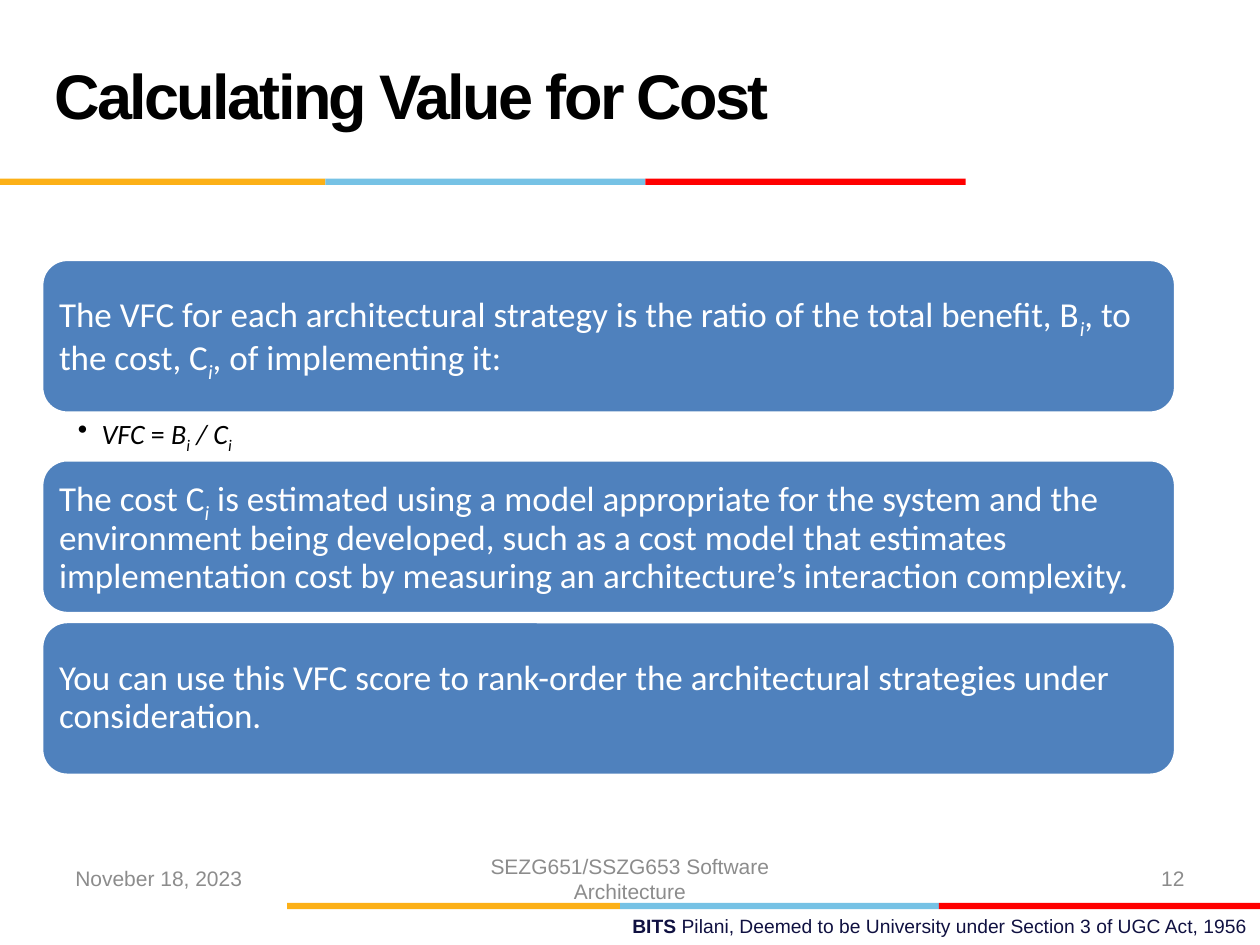
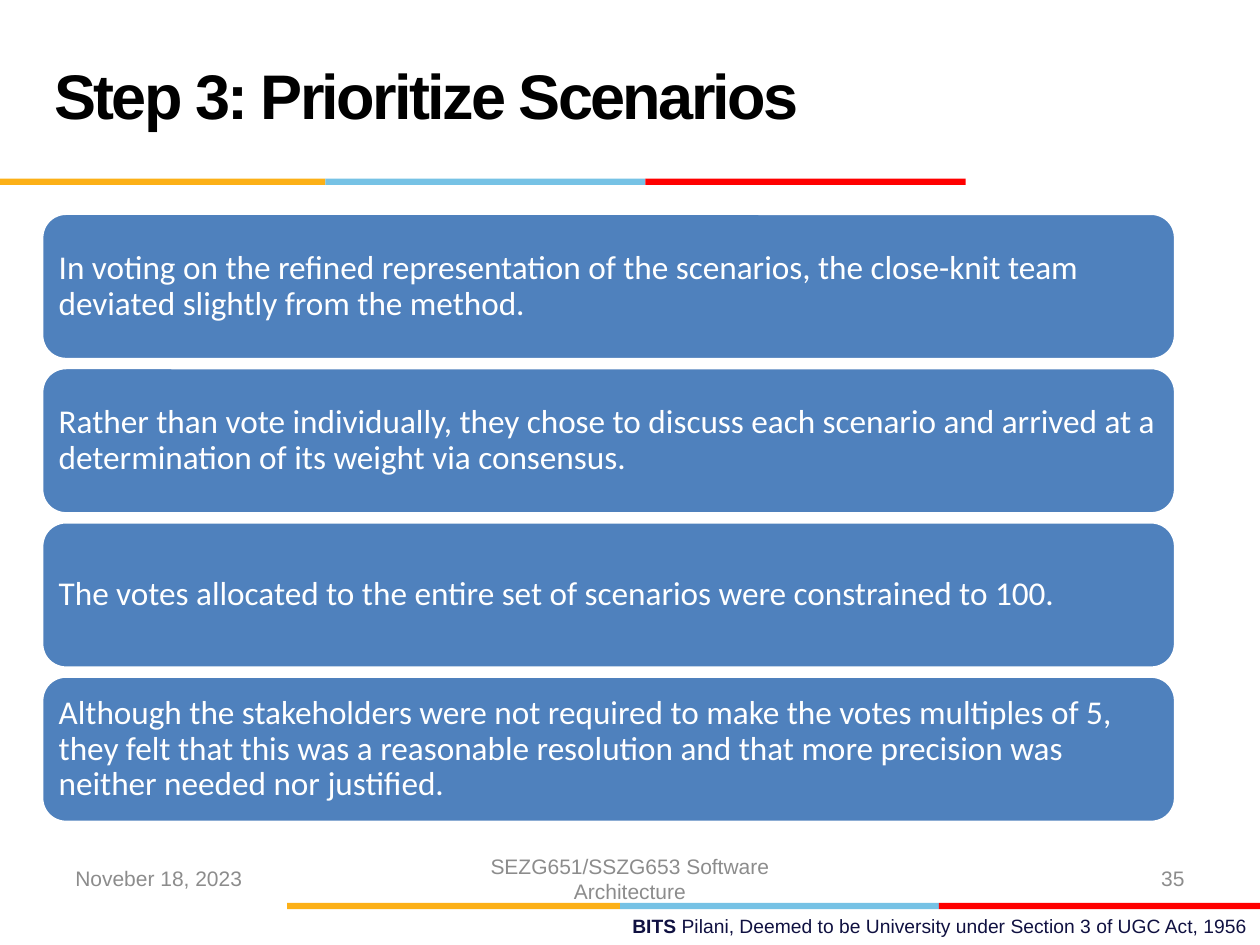
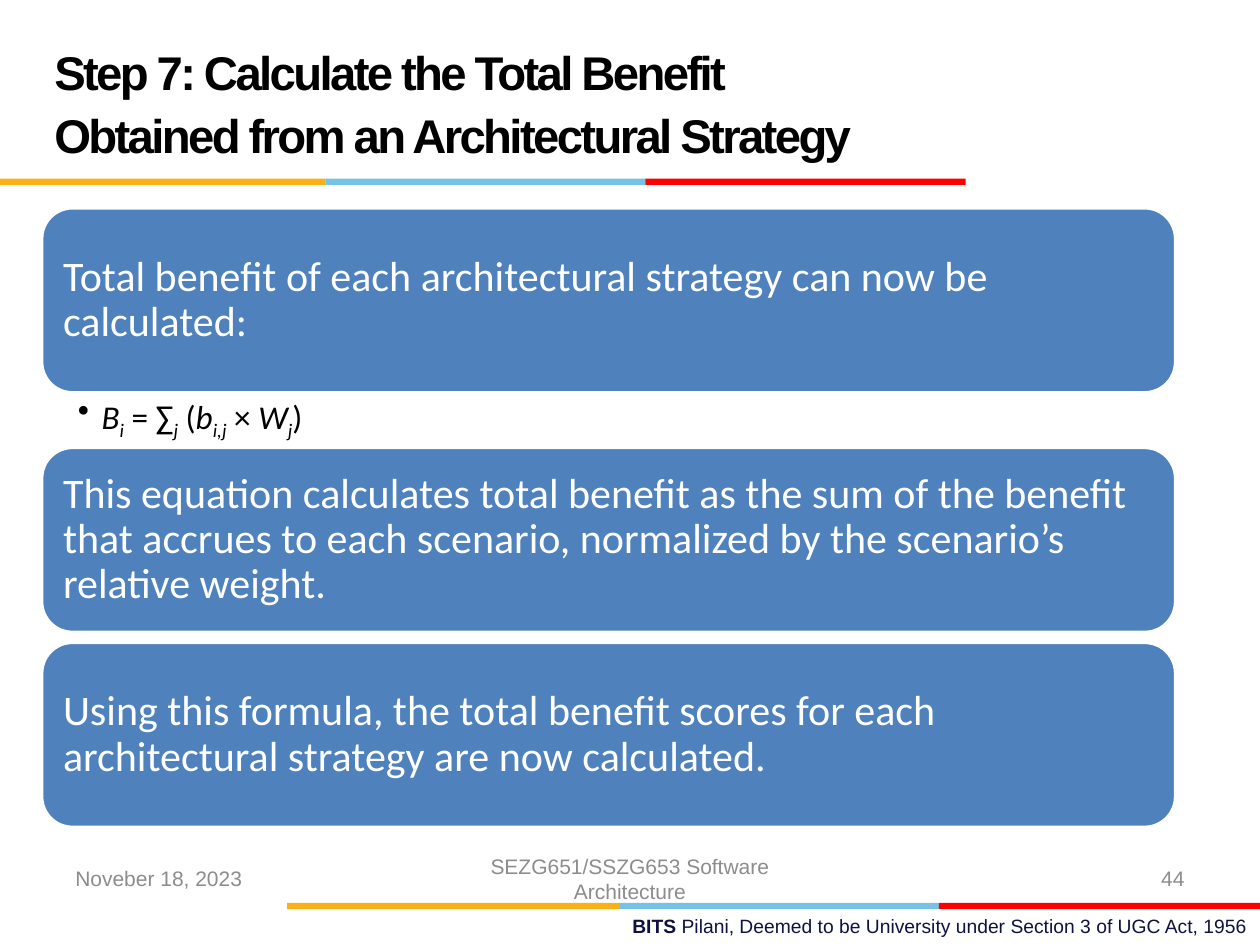
"""Build three lecture slides on weighing the cost and benefit of architectural strategies."""
import pptx
import pptx.dml.color
import pptx.enum.shapes
import pptx.enum.text
import pptx.util
from lxml import etree
from pptx.oxml.ns import qn

Cm = pptx.util.Cm
Pt = pptx.util.Pt
ALIGN = pptx.enum.text.PP_ALIGN
ANCHOR = pptx.enum.text.MSO_ANCHOR
SHAPE = pptx.enum.shapes.MSO_SHAPE

YELLOW, BLUE, RED = "FCB017", "76C2E5", "FF0000"
PANEL, WHITE, BLACK = "4F81BD", "FFFFFF", "000000"
GREY, NAVY = "8C8C8C", "101141"
PANEL_LEFT, PANEL_WIDTH = 0.84, 22.86
BAND_HEIGHT = 0.13
PLAIN, ITALIC, SUB = "plain", "italic", "sub"

SLIDES = [
    {
        "title": "Calculating Value for Cost",
        "title_size": 36,
        "number": "12",
        "top": 5.23, "height": 3.1, "gap": 0.16, "detail_height": 0.94,
        "size": 20, "inset": 0.2, "detail_size": 16,
        "items": [
            ("panel", [
                ("The VFC for each architectural strategy is the ratio of the total benefit, B", PLAIN),
                ("i", SUB), (", to the cost, C", PLAIN), ("i", SUB),
                (", of implementing it:", PLAIN)]),
            ("detail", [
                ("VFC", ITALIC), (" = ", PLAIN), ("B", ITALIC), ("i", SUB),
                (" / ", ITALIC), ("C", ITALIC), ("i", SUB)]),
            ("panel", [
                ("The cost C", PLAIN), ("i", SUB),
                (" is estimated using a model appropriate for the system and the environment "
                 "being developed, such as a cost model that estimates implementation cost by "
                 "measuring an architecture’s interaction complexity.", PLAIN)]),
            ("panel", [
                ("You can use this VFC score to rank-order the architectural strategies "
                 "under consideration.", PLAIN)]),
        ],
    },
    {
        "title": "Step 3: Prioritize Scenarios",
        "title_size": 36,
        "number": "35",
        "top": 4.3, "height": 2.95, "gap": 0.16, "detail_height": 0,
        "size": 19, "inset": 0.2, "detail_size": 16,
        "items": [
            ("panel", [
                ("In voting on the refined representation of the scenarios, the close-knit team "
                 "deviated slightly from the method.", PLAIN)]),
            ("panel", [
                ("Rather than vote individually, they chose to discuss each scenario and arrived "
                 "at a determination of its weight via consensus.", PLAIN)]),
            ("panel", [
                ("The votes allocated to the entire set of scenarios were constrained to 100.",
                 PLAIN)]),
            ("panel", [
                ("Although the stakeholders were not required to make the votes multiples of 5, "
                 "they felt that this was a reasonable resolution and that more precision was "
                 "neither needed nor justified.", PLAIN)]),
        ],
    },
    {
        "title": "Step 7: Calculate the Total Benefit Obtained from an Architectural Strategy",
        "title_size": 27,
        "number": "44",
        "top": 4.19, "height": 3.73, "gap": 0.2, "detail_height": 1.1,
        "size": 24, "inset": 0.25, "detail_size": 19,
        "items": [
            ("panel", [
                ("Total benefit of each architectural strategy can now be calculated:", PLAIN)]),
            ("detail", [
                ("B", ITALIC), ("i", SUB), (" = ∑", PLAIN), ("j", SUB), (" (", PLAIN),
                ("b", ITALIC), ("i,j", SUB), (" × ", PLAIN), ("W", ITALIC), ("j", SUB),
                (")", PLAIN)]),
            ("panel", [
                ("This equation calculates total benefit as the sum of the benefit that accrues "
                 "to each scenario, normalized by the scenario’s relative weight.", PLAIN)]),
            ("panel", [
                ("Using this formula, the total benefit scores for each architectural strategy "
                 "are now calculated.", PLAIN)]),
        ],
    },
]


def color(value):
    """Turn a hex string into a colour."""
    return pptx.dml.color.RGBColor.from_string(value)


def set_font(paragraph, name, size, value):
    """Set the font that all runs of a paragraph share."""
    paragraph.font.name = name
    paragraph.font.size = Pt(size)
    paragraph.font.color.rgb = color(value)


def add_runs(paragraph, runs):
    """Add plain, italic and subscript runs to a paragraph."""
    for text, style in runs:
        run = paragraph.add_run()
        run.text = text
        if style != PLAIN:
            run.font.italic = True
        if style == SUB:
            run.font._element.set("baseline", "-25000")


def set_insets(frame, left, top, right, bottom):
    """Set the margins of a text frame in centimetres."""
    frame.margin_left, frame.margin_top = Cm(left), Cm(top)
    frame.margin_right, frame.margin_bottom = Cm(right), Cm(bottom)


def add_block(slide, preset, left, top, width, height, fill):
    """Add a filled shape without line or shadow."""
    block = slide.shapes.add_shape(preset, Cm(left), Cm(top), Cm(width), Cm(height))
    block.shadow.inherit = False
    block.fill.solid()
    block.fill.fore_color.rgb = color(fill)
    block.line.fill.background()
    return block


def add_band(slide, top, edges):
    """Add the three-coloured band between four edges."""
    for left, right, fill in zip(edges, edges[1:], (YELLOW, BLUE, RED)):
        add_block(slide, SHAPE.RECTANGLE, left, top, right - left, BAND_HEIGHT, fill)


def add_label(slide, left, top, width, height, align, anchor):
    """Add a wrapping text box and return its first paragraph."""
    label = slide.shapes.add_textbox(Cm(left), Cm(top), Cm(width), Cm(height))
    label.text_frame.word_wrap = True
    label.text_frame.vertical_anchor = anchor
    paragraph = label.text_frame.paragraphs[0]
    paragraph.alignment = align
    return paragraph


def add_footer(slide, number):
    """Add the date, course, slide number and university line."""
    for text, left, width, align in (
        ("Noveber 18, 2023", 1.27, 5.93, ALIGN.LEFT),
        ("SEZG651/SSZG653 Software Architecture", 8.68, 8.04, ALIGN.CENTER),
        (number, 18.2, 5.93, ALIGN.RIGHT),
    ):
        paragraph = add_label(slide, left, 17.2, width, 1.01, align, ANCHOR.MIDDLE)
        paragraph.text = text
        set_font(paragraph, "Arial", 12, GREY)

    university = add_label(slide, 9.09, 18.31, 16.31, 0.74, ALIGN.RIGHT, ANCHOR.TOP)
    add_runs(university, [
        ("BITS ", PLAIN),
        ("Pilani, Deemed to be University under Section 3 of UGC Act, 1956", PLAIN)])
    university.runs[0].font.bold = True
    set_font(university, "Arial", 11, NAVY)


def set_title(slide, text, size):
    """Fill, place and format the title placeholder."""
    title = slide.shapes.title
    title.left, title.top, title.width, title.height = Cm(0.84), Cm(0.43), Cm(17.58), Cm(3.18)
    frame = title.text_frame
    frame.text = text
    frame.word_wrap = True
    frame.auto_size = pptx.enum.text.MSO_AUTO_SIZE.NONE
    frame.vertical_anchor = ANCHOR.MIDDLE
    paragraph = frame.paragraphs[0]
    paragraph.alignment = ALIGN.LEFT
    paragraph.line_spacing = Pt(36)
    set_font(paragraph, "Arial", size, BLACK)
    paragraph.font.bold = True
    paragraph.runs[0].font._element.set("spc", "-150")


def add_panel(slide, top, height, runs, size, inset):
    """Add a rounded panel with its statement."""
    panel = add_block(slide, SHAPE.ROUNDED_RECTANGLE, PANEL_LEFT, top, PANEL_WIDTH, height, PANEL)
    panel.line.color.rgb = color(WHITE)
    panel.line.width = Pt(2)
    frame = panel.text_frame
    frame.word_wrap = True
    frame.vertical_anchor = ANCHOR.MIDDLE
    set_insets(frame, inset, inset, inset, inset)
    statement = frame.paragraphs[0]
    statement.alignment = ALIGN.LEFT
    statement.line_spacing = 0.9
    add_runs(statement, runs)
    set_font(statement, "Calibri", size, WHITE)


def add_detail(slide, top, height, runs, size):
    """Add a bulleted formula between two panels."""
    formula = add_label(slide, PANEL_LEFT, top, PANEL_WIDTH, height, ALIGN.LEFT, ANCHOR.TOP)
    set_insets(formula._parent, 0.73, 0.08, 0.45, 0.08)
    properties = formula._p.get_or_add_pPr()
    properties.set("marL", str(Cm(0.48)))
    properties.set("indent", str(-Cm(0.48)))
    etree.SubElement(properties, qn("a:buChar")).set("char", "•")
    formula.line_spacing = 0.9
    add_runs(formula, runs)
    set_font(formula, "Calibri", size, BLACK)


def add_content(slide, content):
    """Stack the panels and formulas from the top down."""
    top = content["top"]
    previous = None
    for kind, runs in content["items"]:
        if kind == "detail":
            add_detail(slide, top, content["detail_height"], runs, content["detail_size"])
            top += content["detail_height"]
        else:
            if previous == "panel":
                top += content["gap"]
            add_panel(slide, top, content["height"], runs, content["size"], content["inset"])
            top += content["height"]
        previous = kind


def main():
    """Build and save the slides."""
    deck = pptx.Presentation()
    deck.slide_width, deck.slide_height = Cm(25.4), Cm(19.05)
    for content in SLIDES:
        slide = deck.slides.add_slide(deck.slide_layouts[5])
        add_band(slide, 3.6, (0, 6.56, 13.01, 19.47))
        add_band(slide, 18.2, (5.79, 12.5, 18.93, 25.4))
        add_content(slide, content)
        set_title(slide, content["title"], content["title_size"])
        add_footer(slide, content["number"])
    deck.save("out.pptx")


if __name__ == "__main__":
    main()
